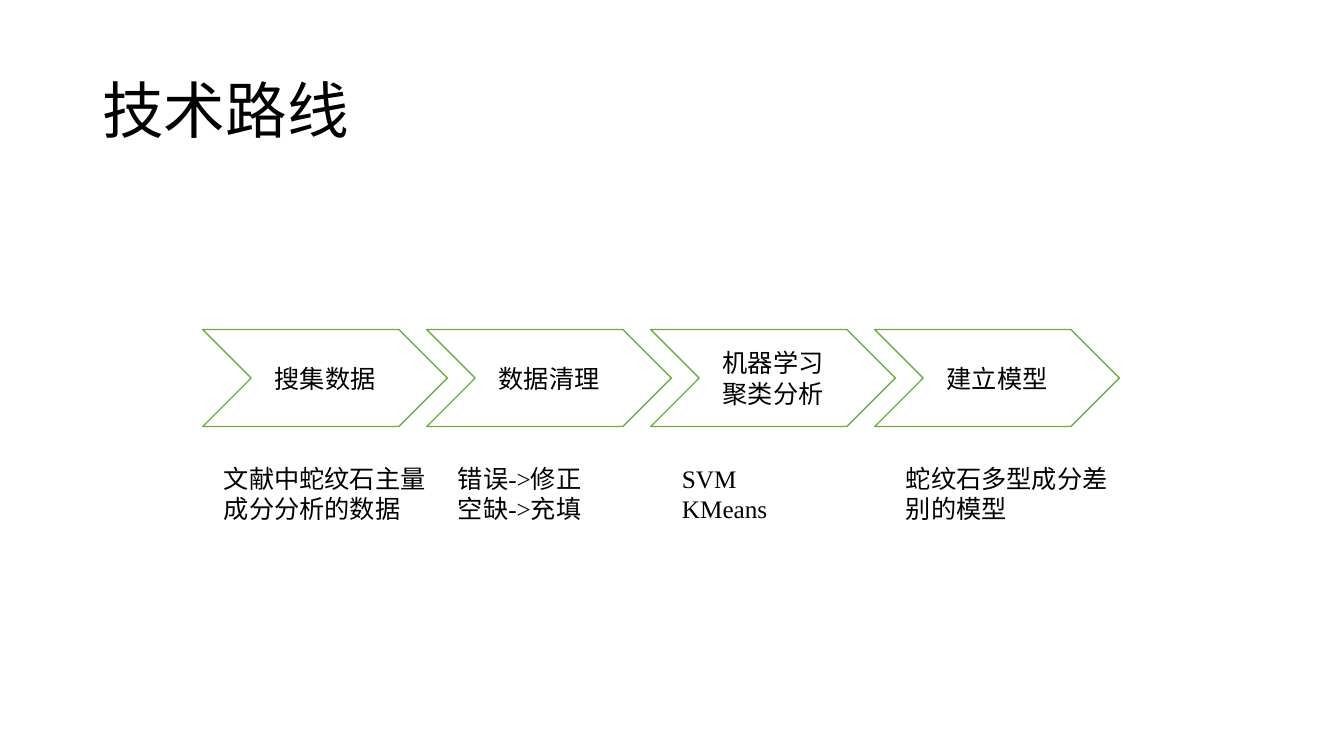
from dataclasses import dataclass

from lxml.etree import SubElement
from pptx import Presentation
from pptx.dml.color import RGBColor
from pptx.enum.shapes import MSO_SHAPE
from pptx.enum.text import MSO_ANCHOR, PP_ALIGN
from pptx.oxml.ns import qn
from pptx.util import Inches, Pt


@dataclass(frozen=True)
class Theme:
    ink: RGBColor = RGBColor(0, 0, 0)
    paper: RGBColor = RGBColor(255, 255, 255)
    green: RGBColor = RGBColor(0x70, 0xAD, 0x47)
    latin: str = "Times New Roman"
    asian: str = "Noto Sans CJK SC"
    head: int = 44
    body: int = 18
    lead: int = 22
    edge: int = 1


THEME = Theme()
WIDE, HIGH = Inches(13.33), Inches(7.5)
COLS, ROWS = 24, 12
STEP = 4

STAGES = [
    ("搜集数据", "文献中蛇纹石主量成分分析的数据", 3.82),
    ("数据清理", "错误->修正\n空缺->充填", 8),
    ("机器学习\n聚类分析", "SVM\nKMeans", 12),
    ("建立模型", "蛇纹石多型成分差别的模型", 16),
]


def place(col, row, cols, rows):
    wide, high = WIDE / COLS, HIGH / ROWS
    return [round(n) for n in (col * wide, row * high, cols * wide, rows * high)]


def write(shape, text, size, lead, align=PP_ALIGN.LEFT, anchor=MSO_ANCHOR.MIDDLE):
    frame = shape.text_frame
    frame.text = text
    frame.word_wrap = True
    frame.vertical_anchor = anchor
    for para in frame.paragraphs:
        para.alignment = align
        para.line_spacing = lead
        for run in para.runs:
            run.font.size = Pt(size)
            run.font.color.rgb = THEME.ink
            run.font.name = THEME.latin
            east = SubElement(run.font._element, qn("a:ea"))
            east.set("typeface", THEME.asian)


def add_title(slide, text):
    box = slide.shapes.add_textbox(*place(1.65, 0.64, 20.7, 2.32))
    write(box, text, THEME.head, 0.9)


def add_stage(slide, text, col):
    arrow = slide.shapes.add_shape(MSO_SHAPE.CHEVRON, *place(col, 5.23, 4.37, 1.54))
    arrow.shadow.inherit = False
    arrow.fill.solid()
    arrow.fill.fore_color.rgb = THEME.paper
    arrow.line.color.rgb = THEME.green
    arrow.line.width = Pt(THEME.edge)
    write(arrow, text, THEME.body, Pt(THEME.lead), PP_ALIGN.CENTER)


def add_note(slide, text, col):
    box = slide.shapes.add_textbox(*place(col, 7.26, STEP, 1.14))
    write(box, text, THEME.body, Pt(THEME.lead), anchor=MSO_ANCHOR.TOP)


def main():
    deck = Presentation()
    deck.slide_width, deck.slide_height = WIDE, HIGH
    slide = deck.slides.add_slide(deck.slide_layouts[6])
    add_title(slide, "技术路线")
    for i, (stage, note, col) in enumerate(STAGES):
        add_stage(slide, stage, 3.62 + i * STEP)
        add_note(slide, note, col)
    deck.save("out.pptx")


if __name__ == "__main__":
    main()
